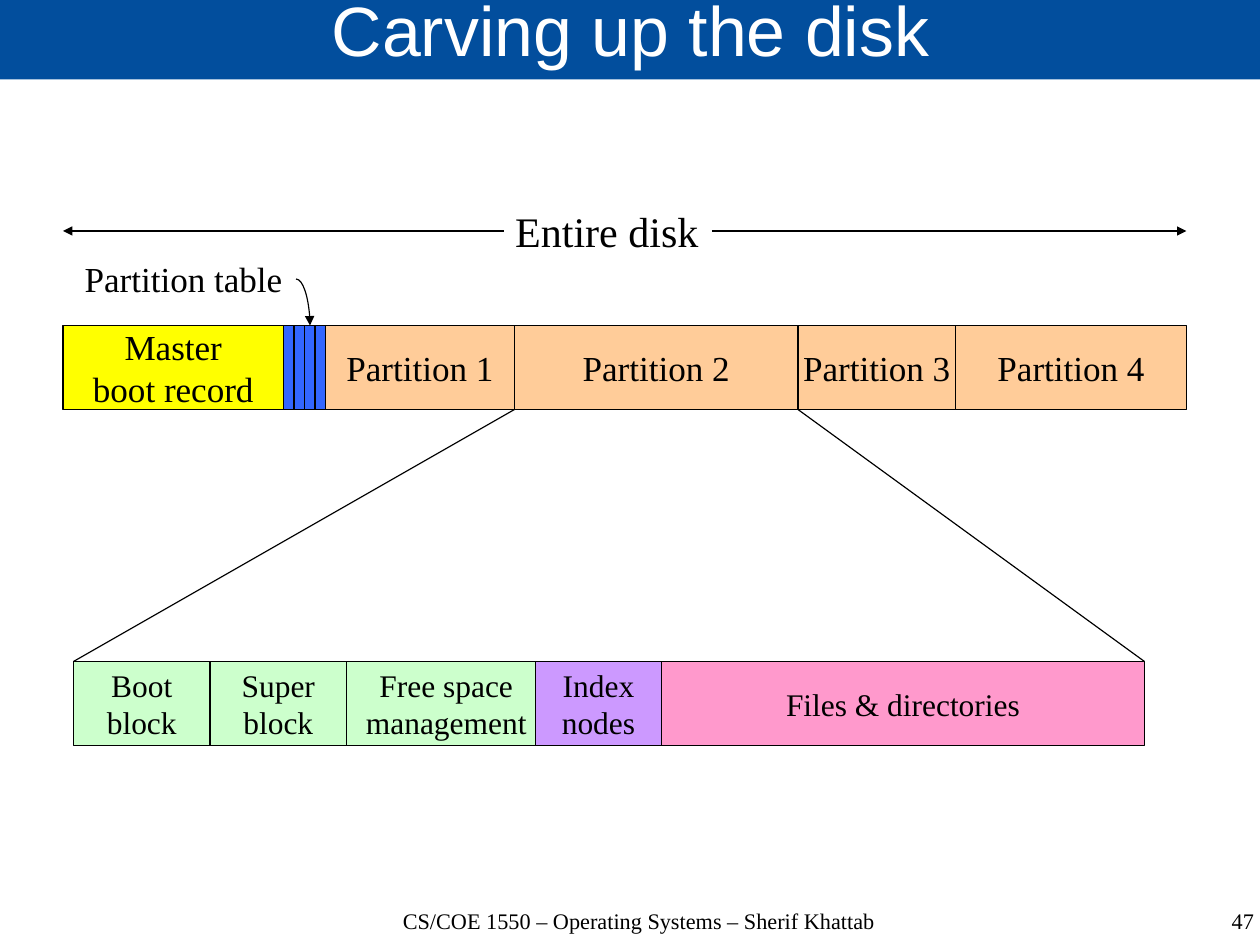
from typing import Any, NamedTuple

from lxml import etree
from pptx import Presentation
from pptx.dml.color import RGBColor
from pptx.enum.shapes import MSO_CONNECTOR, MSO_SHAPE
from pptx.enum.text import MSO_ANCHOR, MSO_AUTO_SIZE, PP_ALIGN
from pptx.oxml.ns import qn
from pptx.util import Emu, Pt

PX = 4000  # 90 px to the centimetre; the slide is 28 by 21 cm
LEFT, CENTER, RIGHT = PP_ALIGN.LEFT, PP_ALIGN.CENTER, PP_ALIGN.RIGHT
TOP, MIDDLE = MSO_ANCHOR.TOP, MSO_ANCHOR.MIDDLE
STRAIGHT, CURVE = MSO_CONNECTOR.STRAIGHT, MSO_CONNECTOR.CURVE
RECT, FIXED = MSO_SHAPE.RECTANGLE, MSO_AUTO_SIZE.NONE
SERIF, SANS = "Times New Roman", "Arial"
BLACK, WHITE, NAVY = "000000", "FFFFFF", "024E9D"
YELLOW, BLUE, PEACH = "FFFF00", "3366FF", "FFCC99"
GREEN, PURPLE, PINK = "CCFFCC", "CC99FF", "FF99CC"
FLUSH = {"margin_left": 0, "margin_right": 0, "margin_top": 0, "margin_bottom": 0}


class Cell(NamedTuple):
    text: str
    width: int
    fill: str
    under: int = 0  # part of the width hidden under the next cell


class Bar(NamedTuple):
    left: int
    top: int
    size: float
    cells: list[Cell]


class Label(NamedTuple):
    text: str
    box: tuple[int, int, int, int]
    size: float
    align: Any = LEFT
    flush: bool = False


class Link(NamedTuple):
    start: tuple[int, int]
    end: tuple[int, int]
    arrow: bool = False
    kind: Any = STRAIGHT


HIGH = 168
DISK = Bar(126, 651, 22.1, [
    Cell("Master\nboot record", 441, YELLOW),
    *[Cell("", 21, BLUE)] * 4,
    *(Cell(f"Partition {n}", width, PEACH)
      for n, width in enumerate((378, 567, 315, 462), 1)),
])
PART = Bar(147, 1323, 19.8, [
    Cell("Boot\nblock", 273, GREEN),
    Cell("Super\nblock", 273, GREEN),
    Cell("Free space\nmanagement", 399, GREEN, 21),
    Cell("Index\nnodes", 252, PURPLE),
    Cell("Files & directories", 966, PINK),
])
LABELS = [
    Label("CS/COE 1550 – Operating Systems – Sherif Khattab",
          (702, 1819, 1152, 126), 14, CENTER, True),
    Label("47", (1929, 1819, 579, 126), 14, RIGHT, True),
    Label("Partition table", (147, 503, 443, 107), 22.1),
    Label("Entire disk", (1008, 400, 416, 126), 26.5),
]
LINKS = [
    Link((592, 558), (620, 651), True, CURVE),
    Link((1008, 462), (126, 462), True),
    Link((1424, 462), (2373, 462), True),
    Link((147, 1323), (1029, 819)),
    Link((1596, 819), (2289, 1323)),
]


def px(*values: int) -> list[Emu]:
    return [Emu(value * PX) for value in values]


def rgb(code: str) -> RGBColor:
    return RGBColor.from_string(code)


def apply(target: Any, values: dict[str, Any]) -> None:
    for name, value in values.items():
        setattr(target, name, value)


def write(shape: Any, text: str, size: float, frame: dict[str, Any],
          para: dict[str, Any], face: str = SERIF, color: str = BLACK) -> None:
    apply(shape.text_frame, frame)
    line = shape.text_frame.paragraphs[0]
    line.text = text
    apply(line, para)
    for run in line.runs:
        apply(run.font, {"name": face, "size": Pt(size)})
        run.font.color.rgb = rgb(color)


def paint(shape: Any, fill: str) -> None:
    shape.fill.solid()
    shape.fill.fore_color.rgb = rgb(fill)


def draw_title(slide: Any) -> None:
    title = slide.shapes.title
    left, top, width, height = px(0, -4, 2524, 163)
    apply(title, {"left": left, "top": top, "width": width, "height": height})
    paint(title, NAVY)
    write(title, "Carving up the disk", 44,
          {"auto_size": FIXED, "word_wrap": True, "vertical_anchor": MIDDLE, **FLUSH},
          {"alignment": CENTER, "line_spacing": 0.69}, SANS, WHITE)


def draw_bar(slide: Any, bar: Bar) -> None:
    left = bar.left
    for cell in bar.cells:
        shape = slide.shapes.add_shape(RECT, *px(left, bar.top, cell.width, HIGH))
        shape.shadow.inherit = False
        paint(shape, cell.fill)
        shape.line.color.rgb = rgb(BLACK)
        shape.line.width = Pt(0.75)
        if cell.text:
            write(shape, cell.text, bar.size,
                  {"word_wrap": False, "vertical_anchor": MIDDLE},
                  {"alignment": CENTER})
        left += cell.width - cell.under


def draw_label(slide: Any, label: Label) -> None:
    frame = {"word_wrap": label.flush, "vertical_anchor": TOP}
    para = {"alignment": label.align}
    if label.flush:
        frame |= FLUSH
        para["line_spacing"] = 0.96
    box = slide.shapes.add_textbox(*px(*label.box))
    write(box, label.text, label.size, frame, para)


def draw_link(slide: Any, link: Link) -> None:
    line = slide.shapes.add_connector(link.kind, *px(*link.start, *link.end))
    line.line.color.rgb = rgb(BLACK)
    line.line.width = Pt(0.75)
    props = line._element.spPr
    if link.kind == CURVE:
        props.find(qn("a:prstGeom")).set("prst", "curvedConnector2")
    if link.arrow:
        etree.SubElement(props.find(qn("a:ln")), qn("a:tailEnd"), type="triangle")
    etree.SubElement(props, qn("a:effectLst"))


def main() -> None:
    deck = Presentation()
    deck.slide_width, deck.slide_height = px(2520, 1890)
    slide = deck.slides.add_slide(deck.slide_layouts[5])
    draw_title(slide)
    for bar in (DISK, PART):
        draw_bar(slide, bar)
    for label in LABELS:
        draw_label(slide, label)
    for link in LINKS:
        draw_link(slide, link)
    deck.save("out.pptx")


if __name__ == "__main__":
    main()
